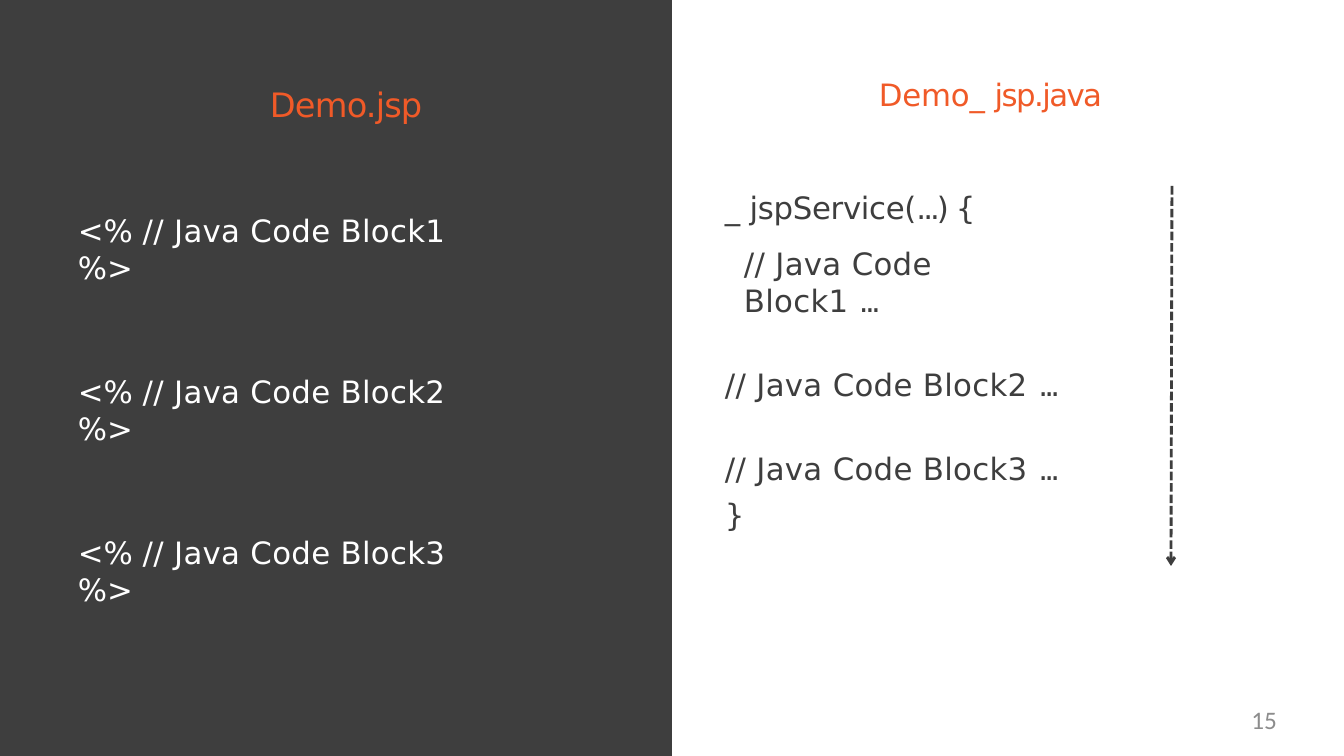
from lxml import etree
from pptx import Presentation
from pptx.dml.color import RGBColor
from pptx.enum.dml import MSO_LINE
from pptx.enum.shapes import MSO_CONNECTOR, MSO_SHAPE
from pptx.enum.text import MSO_ANCHOR, MSO_AUTO_SIZE, PP_ALIGN
from pptx.oxml.ns import qn
from pptx.util import Pt

EMU_PER_PIXEL = 914400 / 100.8
STRAIGHT = MSO_CONNECTOR.STRAIGHT
RECTANGLE = MSO_SHAPE.RECTANGLE
DASHED = MSO_LINE.SQUARE_DOT
TOP = MSO_ANCHOR.TOP
NO_AUTOFIT = MSO_AUTO_SIZE.NONE
LEFT, RIGHT = PP_ALIGN.LEFT, PP_ALIGN.RIGHT

CODE_FONT = "DejaVu Sans"
DARK, ORANGE, WHITE, GRAY = "3E3E3E", "F05A28", "FFFFFF", "8C8C8C"


def px(pixels):
    return round(pixels * EMU_PER_PIXEL)


def color(hex_value):
    return RGBColor.from_string(hex_value)


def place(shape, left, top, width, height):
    shape.left, shape.top = px(left), px(top)
    shape.width, shape.height = px(width), px(height)


def prepare_frame(shape):
    frame = shape.text_frame
    frame.auto_size = NO_AUTOFIT
    frame.word_wrap = True
    frame.vertical_anchor = TOP
    frame.margin_left = frame.margin_right = frame.margin_bottom = 0
    frame.margin_top = px(1)
    return frame


def add_text_box(slide, left, top, width, height):
    box = slide.shapes.add_textbox(px(left), px(top), px(width), px(height))
    return prepare_frame(box)


def write_paragraph(frame, runs, size=22, font=CODE_FONT, fill=DARK, align=LEFT,
                    before=0, indent=1, right_indent=0):
    paragraph = frame.paragraphs[0]
    if paragraph.runs:
        paragraph = frame.add_paragraph()
    paragraph.alignment = align
    paragraph.space_before = Pt(before)
    paragraph.line_spacing = 1.0
    properties = paragraph._p.get_or_add_pPr()
    properties.set("marL", str(px(indent)))
    properties.set("marR", str(px(right_indent)))
    properties.set("indent", "0")
    for text, spacing in runs:
        run = paragraph.add_run()
        run.text = text
        run.font.size = Pt(size)
        run.font.name = font
        run.font.color.rgb = color(fill)
        run.font._element.set("spc", str(round(spacing * 100)))


def code_block(number):
    return (f"// Java Code Block{number} ", 0.25)


def add_panel(slide, left, top, width, height, fill):
    panel = slide.shapes.add_shape(RECTANGLE, px(left), px(top), px(width), px(height))
    panel.shadow.inherit = False
    panel.fill.solid()
    panel.fill.fore_color.rgb = color(fill)
    panel.line.fill.background()


def add_dashed_arrow(slide, x1, y1, x2, y2, fill, weight):
    arrow = slide.shapes.add_connector(STRAIGHT, px(x1), px(y1), px(x2), px(y2))
    arrow.line.color.rgb = color(fill)
    arrow.line.width = Pt(weight)
    arrow.line.dash_style = DASHED
    etree.SubElement(arrow.line._get_or_add_ln(), qn("a:tailEnd"), type="arrow")
    etree.SubElement(arrow._element.spPr, qn("a:effectLst"))


def add_title(slide):
    title = slide.shapes.title
    place(title, 878, 75, 234, 39)
    write_paragraph(prepare_frame(title), [("Demo_ ", -0.1), ("jsp.java", -1.1)], fill=ORANGE)


def add_jsp_source(slide):
    heading = add_text_box(slide, 269, 83, 158, 43)
    write_paragraph(heading, [("Demo.jsp", -0.6)], size=24, fill=ORANGE)
    source = add_text_box(slide, 77, 211, 419, 400)
    for number in (1, 2, 3):
        write_paragraph(source, [("<% ", 0), code_block(number), ("%>", 0)],
                        fill=WHITE, before=0 if number == 1 else 62)


def add_servlet_source(slide):
    servlet = add_text_box(slide, 724, 188, 354, 300)
    write_paragraph(servlet, [("_ jspService(", -0.2), ("...) ", -2.1), ("{", 0)])
    layouts = [
        {"before": 13.6, "indent": 20, "right_indent": 100},
        {"before": 33.4},
        {"before": 33.4},
    ]
    for number, layout in enumerate(layouts, 1):
        write_paragraph(servlet, [code_block(number), ("...", -2.6)], **layout)
    closing_brace = add_text_box(slide, 724, 495, 24, 39)
    write_paragraph(closing_brace, [("}", 0)])


def main():
    presentation = Presentation()
    presentation.slide_width, presentation.slide_height = px(1344), px(756)
    slide = presentation.slides.add_slide(presentation.slide_layouts[5])
    add_panel(slide, 0, 0, 672, 756, DARK)
    add_title(slide)
    add_jsp_source(slide)
    add_servlet_source(slide)
    add_dashed_arrow(slide, 1172, 186, 1171, 566, DARK, 2.04)
    page_number = add_text_box(slide, 968, 703, 309, 38)
    write_paragraph(page_number, [("15", 0)], size=18, font="Calibri",
                    fill=GRAY, align=RIGHT, indent=0)
    presentation.save("out.pptx")


main()
